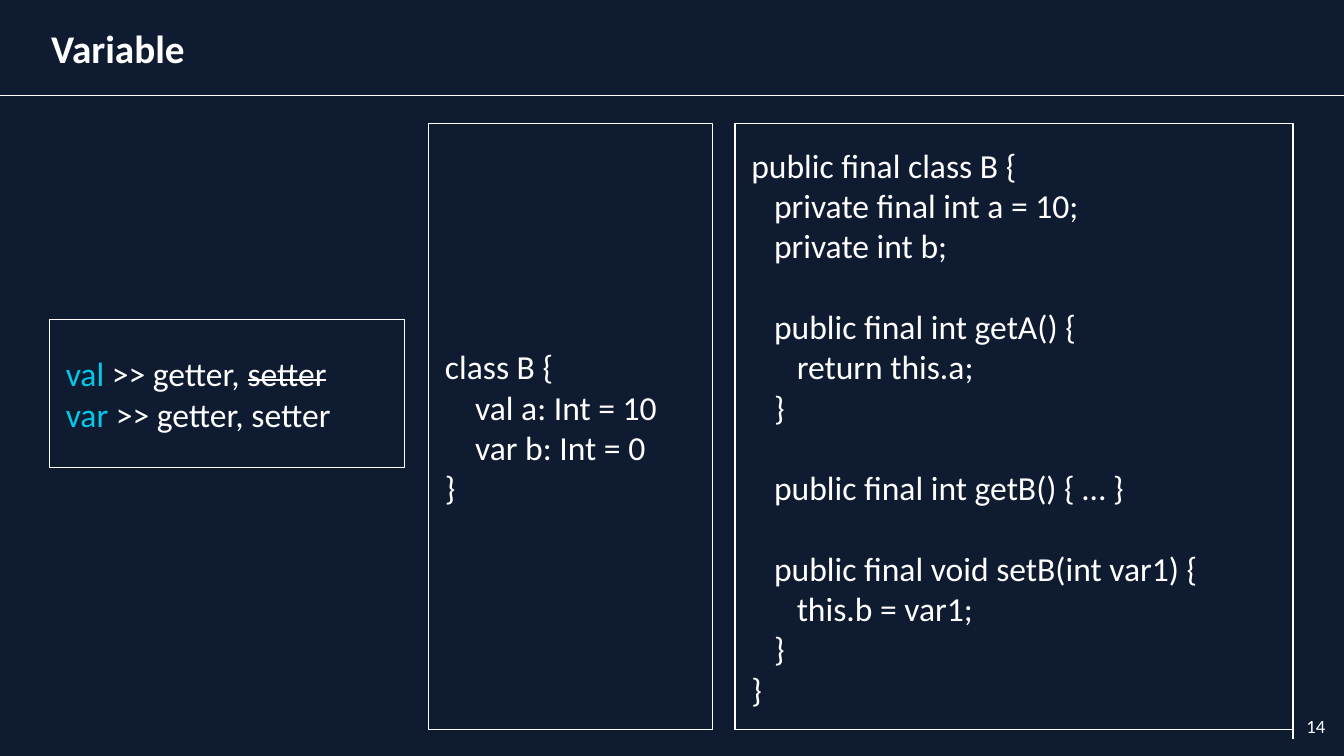
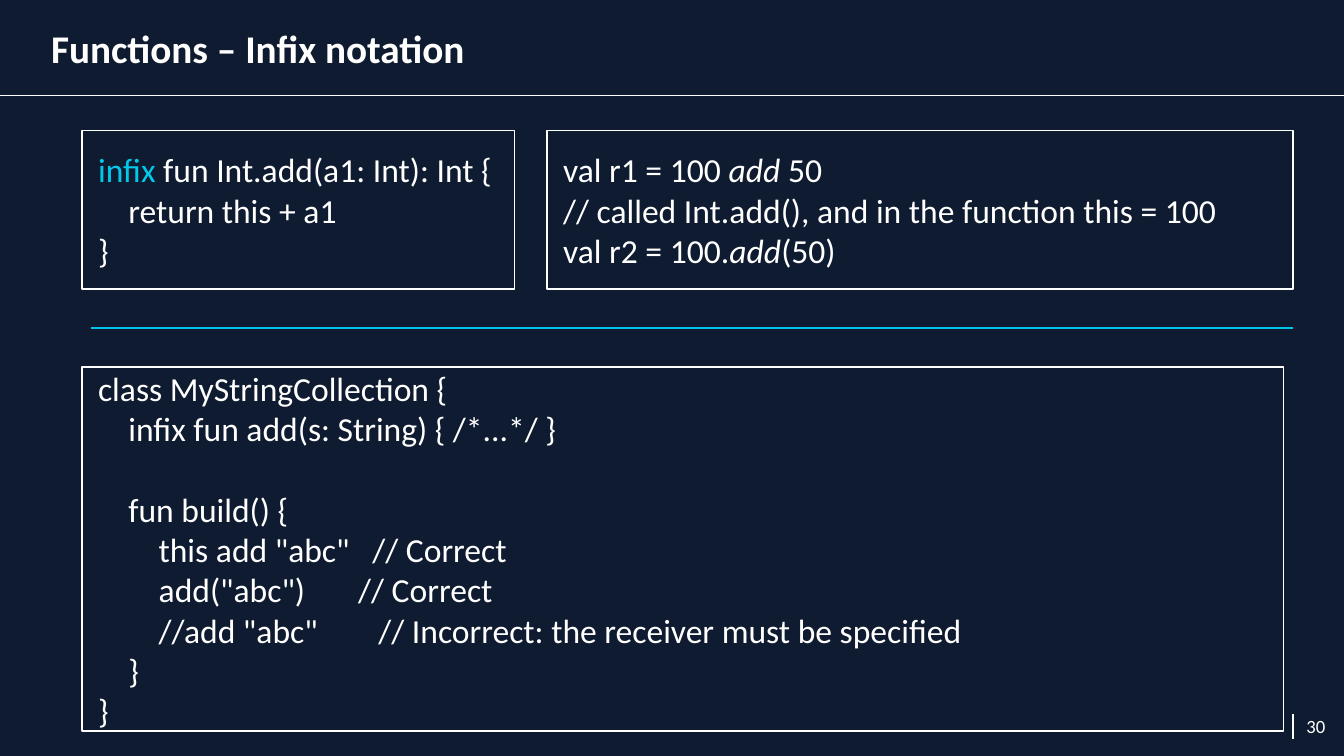
import pptx
import pptx.dml.color
import pptx.enum.shapes
import pptx.enum.text
import pptx.util
from lxml import etree
from pptx.util import Inches

COLORS = {"night": "0F1B30", "white": "FFFFFF", "keyword": "00C9EA", "divider": "00C5E5"}
FONT = "Calibri"
WIDTH = 10
HEIGHT = WIDTH * 9 / 16
HEADER = 0.71
RIGHT = 9.62
INDENT = 0.12
CODE_SIZE = 18
CODE_LINE = 21.6
MIDDLE = pptx.enum.text.MSO_ANCHOR.MIDDLE
LEFT_ALIGN = pptx.enum.text.PP_ALIGN.LEFT
RIGHT_ALIGN = pptx.enum.text.PP_ALIGN.RIGHT


def rgb(name):
    return pptx.dml.color.RGBColor.from_string(COLORS[name])


class CodeDeck:
    """Holds the shared style and the slide being built."""

    def __init__(self):
        self.deck = pptx.Presentation()
        self.deck.slide_width = Inches(WIDTH)
        self.deck.slide_height = Inches(HEIGHT)
        fill = self.deck.slide_master.background.fill
        fill.solid()
        fill.fore_color.rgb = rgb("night")
        self.slide = None

    def start_slide(self, title, number):
        self.slide = self.deck.slides.add_slide(self.deck.slide_layouts.get_by_name("Title Only"))
        # Page number and shared lines
        box = self.slide.shapes.add_textbox(Inches(9.5), Inches(5.19), Inches(0.46), Inches(0.43))
        para = self.frame(box, 0.1).paragraphs[0]
        para.alignment = RIGHT_ALIGN
        self.span(para, number, 10)
        self.line((RIGHT, 5.31), (RIGHT, 5.5))
        self.line((0, HEADER), (WIDTH, HEADER))
        # Title
        heading = self.slide.shapes.title
        heading.left, heading.top = Inches(0.38), Inches(0)
        heading.width, heading.height = Inches(9.25), Inches(HEADER)
        para = self.frame(heading, 0).paragraphs[0]
        para.alignment = LEFT_ALIGN
        self.span(para, title, 21, bold=True)

    def frame(self, shape, inset):
        frame = shape.text_frame
        frame.word_wrap = True
        frame.auto_size = pptx.enum.text.MSO_AUTO_SIZE.NONE
        frame.vertical_anchor = MIDDLE
        frame.margin_left = frame.margin_right = Inches(inset)
        frame.margin_top = frame.margin_bottom = Inches(inset)
        return frame

    def span(self, para, text, size=CODE_SIZE, color="white", bold=False, italic=False, strike=False):
        for index, line in enumerate(text.split("\n")):
            if index:
                para.add_line_break()
            if not line:
                continue
            run = para.add_run()
            run.text = line
            run.font.name = FONT
            run.font.size = pptx.util.Pt(size)
            run.font.color.rgb = rgb(color)
            run.font.bold = bold
            run.font.italic = italic
            if strike:
                run.font._element.set("strike", "sngStrike")

    def line(self, start, end, color="white"):
        connector = self.slide.shapes.add_connector(
            pptx.enum.shapes.MSO_CONNECTOR.STRAIGHT,
            *(Inches(length) for length in (*start, *end)))
        connector.line.color.rgb = rgb(color)
        connector.line.width = pptx.util.Pt(0.75)
        etree.SubElement(connector._element.spPr, pptx.oxml.ns.qn("a:effectLst"))

    def code_box(self, left, top, width, height, paragraphs, gap_before=()):
        """Each paragraph is a list of (text, style) spans."""
        box = self.slide.shapes.add_shape(
            pptx.enum.shapes.MSO_SHAPE.RECTANGLE,
            Inches(left), Inches(top), Inches(width), Inches(height))
        box.shadow.inherit = False
        box.fill.background()
        box.line.color.rgb = rgb("white")
        box.line.width = pptx.util.Pt(0.75)
        frame = self.frame(box, 0)
        for index, spans in enumerate(paragraphs):
            para = frame.add_paragraph() if index else frame.paragraphs[0]
            para.alignment = LEFT_ALIGN
            para._p.get_or_add_pPr().set("marL", str(Inches(INDENT)))
            if index in gap_before:
                para.space_before = pptx.util.Pt(CODE_LINE)
            for text, style in spans:
                self.span(para, text, **style)


PLAIN = {}
KEYWORD = {"color": "keyword"}
ITALIC = {"italic": True}
STRUCK = {"strike": True}

KOTLIN_CLASS = """class B {
    val a: Int = 10
    var b: Int = 0
}"""

JAVA_CLASS = """public final class B {
   private final int a = 10;
   private int b;

   public final int getA() {
      return this.a;
   }

   public final int getB() { … }

   public final void setB(int var1) {
      this.b = var1;
   }
}"""

COLLECTION_CLASS = """class MyStringCollection {
    infix fun add(s: String) { /*...*/ }
    fun build() {
        this add "abc"   // Correct
        add("abc")       // Correct
        //add "abc"        // Incorrect: the receiver must be specified
    }
}"""


def variable_slide(page):
    page.start_slide("Variable", "14")
    page.code_box(0.37, 2.38, 2.64, 1.1, [
        [("val", KEYWORD), (" >> getter, ", PLAIN), ("setter", STRUCK)],
        [("var", KEYWORD), (" >> getter, setter", PLAIN)],
    ])
    # Source class beside its compiled form
    for left, width, code in ((3.19, 2.11, KOTLIN_CLASS), (5.47, 4.15, JAVA_CLASS)):
        page.code_box(left, 0.92, width, 4.51, [[(code, PLAIN)]])


def infix_slide(page):
    page.start_slide("Functions – Infix notation", "30")
    # Calls and declaration
    page.code_box(4.07, 0.97, 5.55, 1.18, [
        [("val r1 = 100 ", PLAIN), ("add ", ITALIC), ("50", PLAIN)],
        [("// called Int.add(), and in the function this = 100\nval r2 = 100.", PLAIN),
         ("add", ITALIC), ("(50)", PLAIN)],
    ])
    page.code_box(0.61, 0.97, 3.22, 1.18, [
        [("infix", KEYWORD), (" fun Int.add(a1: Int): Int {\n    return this + a1\n}", PLAIN)],
    ])
    # Receiver example
    page.code_box(0.61, 2.73, 8.94, 2.71,
                  [[(line, PLAIN)] for line in COLLECTION_CLASS.split("\n")], gap_before=(2,))
    page.line((0.68, 2.44), (RIGHT, 2.44), "divider")


def main():
    page = CodeDeck()
    variable_slide(page)
    infix_slide(page)
    page.deck.save("out.pptx")


if __name__ == "__main__":
    main()
